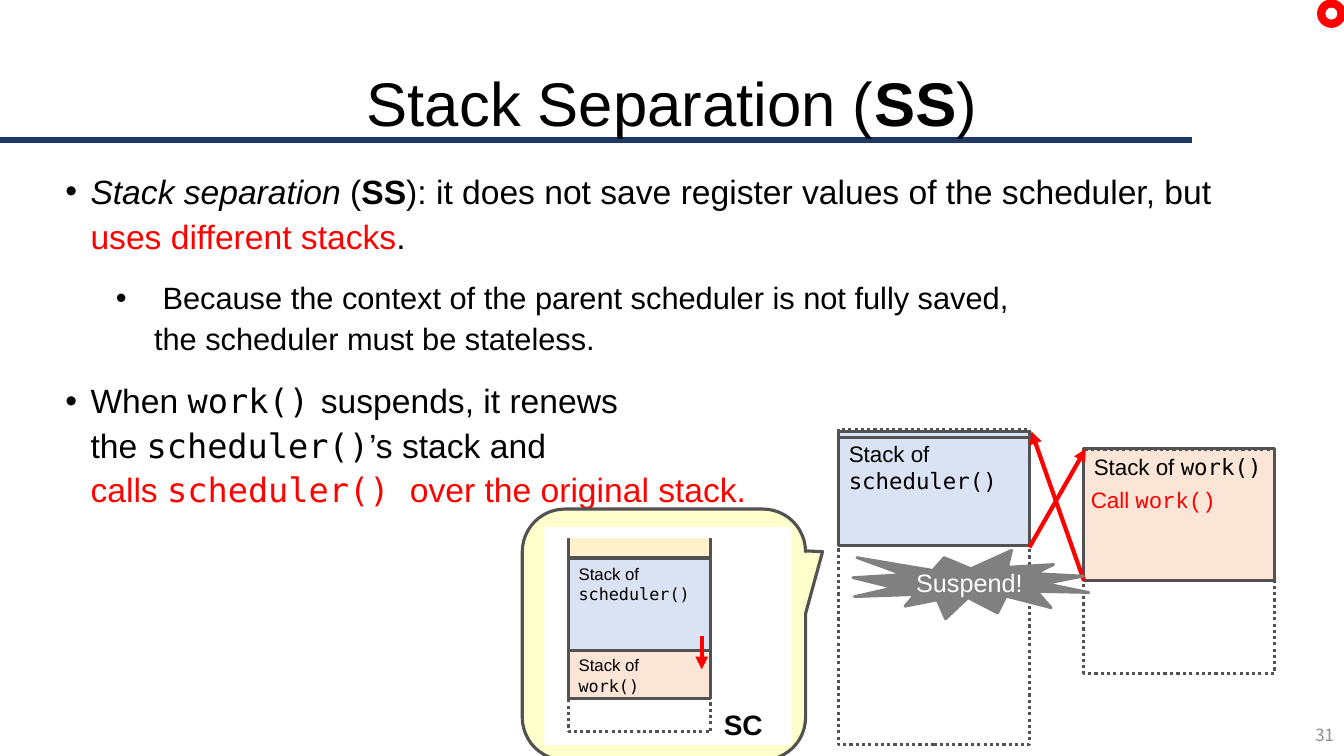
from dataclasses import dataclass

from lxml import etree
from pptx import Presentation
from pptx import util as u
from pptx.dml.color import RGBColor
from pptx.enum import dml, shapes, text
from pptx.oxml import ns

PX = 9144  # EMU per px, 100 px to the inch


@dataclass(frozen=True)
class Theme:
    black: str = "000000"
    white: str = "FFFFFF"
    red: str = "FF0000"
    navy: str = "203864"
    outline: str = "525252"
    burst: str = "808080"
    number: str = "8C8C8C"
    scheduler: str = "DAE3F3"
    work: str = "FBE5D6"
    older: str = "FFF2CC"
    callout: str = "FFFFCC"
    sans: str = "Arial"
    mono: str = "DejaVu Sans Mono"
    courier: str = "Courier New"
    number_font: str = "Noto Sans CJK JP"
    title: int = 44
    body: int = 24
    sub: int = 22
    sc: int = 20
    suspend: int = 18
    label: int = 16
    gap: int = 14
    small: int = 12


THEME = Theme()
Align, Anchor, Kind = text.PP_ALIGN, text.MSO_ANCHOR, shapes.MSO_SHAPE


def px(*lengths):
    return [u.Emu(length * PX) for length in lengths]


def rgb(colour):
    return RGBColor.from_string(colour)


def add_span(para, words, size, font=THEME.sans, colour=THEME.black, bold=False, italic=False):
    for index, line in enumerate(words.split("\n")):
        if index:
            para.add_line_break()
        if line:
            span = para.add_run()
            span.text = line
            span.font.size = u.Pt(size)
            span.font.name = font
            span.font.color.rgb = rgb(colour)
            span.font.bold = bold
            span.font.italic = italic


def write(box, spans, size, align=Align.LEFT, anchor=Anchor.TOP, wrap=True):
    """Fill a box with one paragraph of (words, style) spans."""
    frame = box.text_frame
    frame.word_wrap = wrap
    frame.vertical_anchor = anchor
    para = frame.paragraphs[0]
    para.alignment = align
    for words, style in spans:
        add_span(para, words, **{"size": size, **style})


def add_text(target, place, spans, size, **layout):
    box = target.add_textbox(*px(*place))
    write(box, spans, size, **layout)


def add_block(target, place, fill=None, line=None, kind=Kind.RECTANGLE, width=2.25, dotted=False):
    block = target.add_shape(kind, *px(*place))
    block.shadow.inherit = False
    if fill:
        block.fill.solid()
        block.fill.fore_color.rgb = rgb(fill)
    else:
        block.fill.background()
    if line:
        block.line.color.rgb = rgb(line)
        block.line.width = u.Pt(width)
        if dotted:
            block.line.dash_style = dml.MSO_LINE.ROUND_DOT
    else:
        block.line.fill.background()
    return block


def add_stack(target, place, fill=None, dotted=False):
    return add_block(target, place, fill, THEME.outline, dotted=dotted)


def add_line(target, start, end, colour, width, arrow=False):
    line = target.add_connector(shapes.MSO_CONNECTOR.STRAIGHT, *px(*start, *end))
    line.line.color.rgb = rgb(colour)
    line.line.width = u.Pt(width)
    if arrow:
        etree.SubElement(line.line._get_or_add_ln(), ns.qn("a:tailEnd"), type="triangle")
    etree.SubElement(line._element.spPr, ns.qn("a:effectLst"))


def add_bullets(target, place, items):
    """Each item is (left margin, hanging indent, size, spans)."""
    frame = target.add_textbox(*px(*place)).text_frame
    frame.word_wrap = True
    for index, (margin, hang, size, spans) in enumerate(items):
        para = frame.add_paragraph() if index else frame.paragraphs[0]
        props = para._p.get_or_add_pPr()
        props.set("marL", str(margin * PX))
        props.set("indent", str(-hang * PX))
        font = etree.SubElement(props, ns.qn("a:buFont"))
        font.set("typeface", THEME.sans)
        etree.SubElement(props, ns.qn("a:buChar"), char="•")
        para.line_spacing = 1.1
        para.space_before = u.Pt(14 if index else 0)
        for words, style in spans:
            add_span(para, words, **{"size": size, **style})


def stack_label(function, font=THEME.mono):
    return [("Stack of ", {}), (function, {"font": font})]


def add_body(page):
    mono, red = {"font": THEME.mono}, {"colour": THEME.red}
    add_bullets(page, (55, 161, 1226, 515), [
        (25, 25, THEME.body, [
            ("Stack separation ", {"italic": True}), ("(", {}), ("SS", {"bold": True}),
            ("): it does not save register values of the scheduler, but ", {}),
            ("uses different stacks", red), (".", {})]),
        (88, 38, THEME.sub, [
            (" Because the context of the parent scheduler is not fully saved,\n"
             "the scheduler must be stateless.", {})]),
        (25, 25, THEME.body, [
            ("When ", {}), ("work()", mono), (" ", {**mono, "size": THEME.gap}),
            ("suspends, it renews\nthe ", {}), ("scheduler()", mono), ("’s stack and\n", {}),
            ("calls ", red), ("scheduler() ", {**mono, **red}),
            ("over the original stack.", red)]),
    ])


def add_separate_stacks(page):
    left, right, width = 832, 1075, 189
    add_stack(page, (left, 429, width, 112), THEME.scheduler)
    work = add_stack(page, (right, 445, width, 131), THEME.work)
    write(work, stack_label("work()"), THEME.label)
    add_stack(page, (left, 426, width, 313), dotted=True)
    add_block(page, (826, 384, 201, 9), THEME.white)
    add_stack(page, (right, 446, width, 222), dotted=True)

    # Switches between the two stacks
    add_line(page, (1021, 543), (1077, 445), THEME.red, 3, arrow=True)
    add_line(page, (1075, 576), (1023, 428), THEME.red, 3, arrow=True)
    add_stack(page, (left, 428, width, 6), THEME.scheduler)

    # Labels
    add_text(page, (left, 432, 182, 64), stack_label("scheduler()"), THEME.label)
    add_text(page, (1072, 477, 145, 37), [
        ("Call ", {"colour": THEME.red}),
        ("work()", {"colour": THEME.red, "font": THEME.courier})], THEME.label)
    burst = add_block(page, (846, 546, 234, 68), THEME.burst, THEME.burst, Kind.EXPLOSION1, 2)
    write(burst, [("Suspend!", {"colour": THEME.white})], THEME.suspend,
          align=Align.CENTER, anchor=Anchor.MIDDLE)


def add_callout(page):
    group = page.add_group_shape().shapes
    left, width = 564, 141
    bubble = add_block(group, (518, 505, 281, 249), THEME.callout, THEME.outline,
                       Kind.ROUNDED_RECTANGULAR_CALLOUT)
    for index, value in enumerate((0.56, -0.33, 0.17)):
        bubble.adjustments[index] = value
    add_block(group, (540, 523, 245, 216), THEME.white)

    # One shared stack
    scheduler = add_stack(group, (left, 554, width, 92), THEME.scheduler)
    write(scheduler, stack_label("scheduler()"), THEME.small)
    add_stack(group, (left, 531, width, 195), dotted=True)
    add_stack(group, (left, 531, width, 22), THEME.older)
    add_block(group, (559, 529, 150, 5), THEME.white)
    work = add_stack(group, (left, 645, width, 48), THEME.work)
    write(work, stack_label("work()"), THEME.small)
    add_text(group, (708, 697, 59, 44), [("SC", {"bold": True})], THEME.sc, wrap=False)
    add_line(group, (696, 631), (696, 664), THEME.red, 3, arrow=True)


def main():
    deck = Presentation()
    deck.slide_width, deck.slide_height = px(1333, 750)
    page = deck.slides.add_slide(deck.slide_layouts[6]).shapes

    # Heading and page number
    add_line(page, (0, 139), (1182, 139), THEME.navy, 4)
    add_text(page, (0, 52, 1333, 99),
             [("Stack Separation (", {}), ("SS", {"bold": True}), (")", {})],
             THEME.title, align=Align.CENTER, anchor=Anchor.MIDDLE)
    add_body(page)
    add_text(page, (1033, 709, 300, 40),
             [("31", {"font": THEME.number_font, "colour": THEME.number})],
             THEME.small, align=Align.RIGHT, anchor=Anchor.MIDDLE)

    # Diagrams
    add_separate_stacks(page)
    add_block(page, (1307, 0, 27, 27), THEME.red, THEME.red, Kind.DONUT, 1)
    add_callout(page)
    deck.save("out.pptx")


if __name__ == "__main__":
    main()
